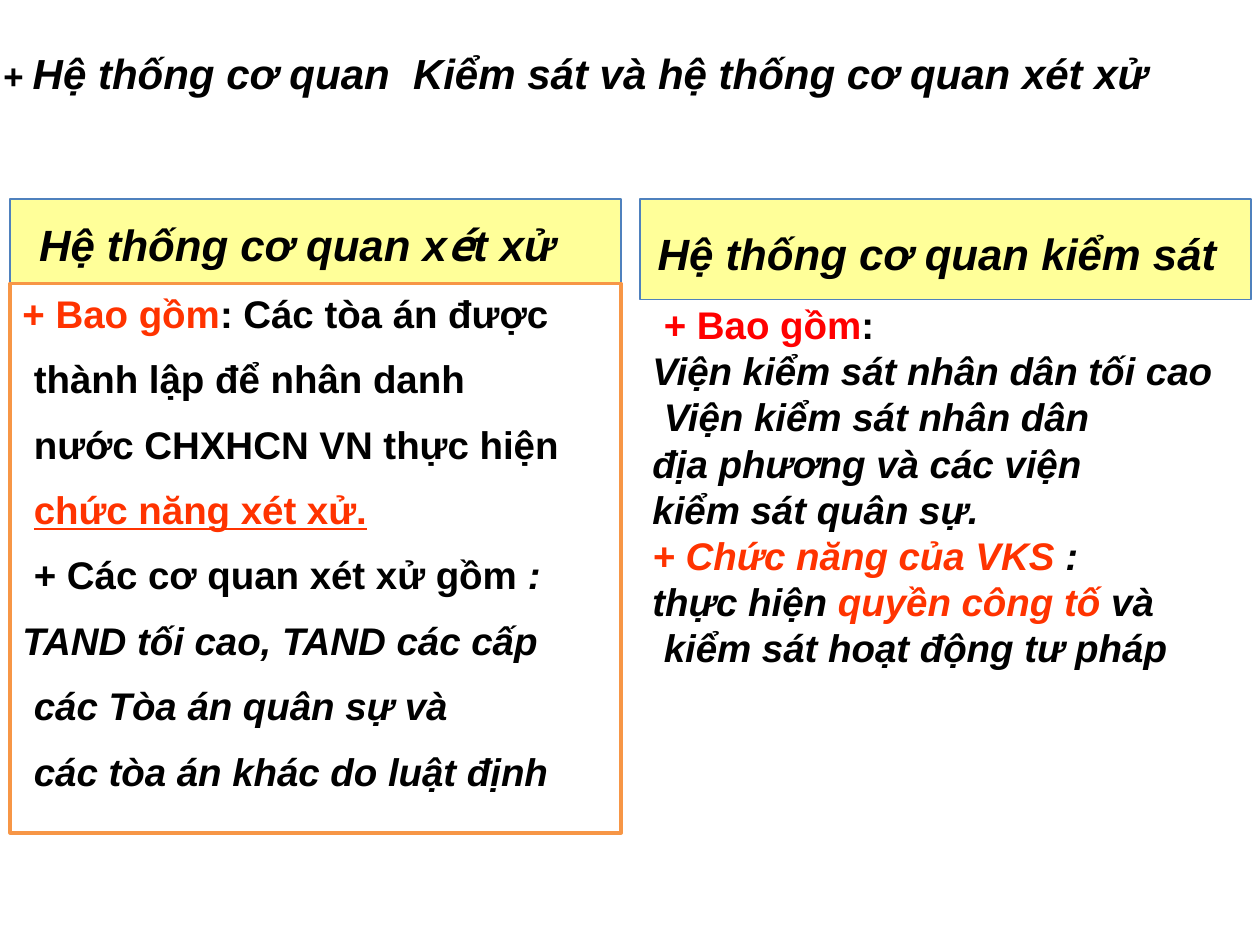
from pptx import Presentation
from pptx.dml.color import RGBColor
from pptx.enum.shapes import MSO_SHAPE
from pptx.enum.text import MSO_ANCHOR, MSO_AUTO_SIZE, PP_ALIGN
from pptx.util import Inches, Pt

BLACK = RGBColor(0x00, 0x00, 0x00)
WHITE = RGBColor(0xFF, 0xFF, 0xFF)
RED = RGBColor(0xFF, 0x00, 0x00)
VERMILION = RGBColor(0xFF, 0x33, 0x00)
YELLOW = RGBColor(0xFF, 0xFF, 0x99)
BLUE = RGBColor(0x4F, 0x81, 0xBD)
ORANGE = RGBColor(0xF7, 0x96, 0x46)

FONT, MONO = "Arial", "Noto Sans Mono"
BODY_SIZE, HEAD_SIZE = 22, 25
STEP = 0.09  # indent of a shifted line, inches

# A line is (indent steps, runs); a run is (text, format changes).
IT = {"italic": True}
HOT = {"color": VERMILION}
HOT_IT = {**HOT, **IT}

TITLE = [(0, [("+ ", {**IT, "size": 20}),
              ("Hệ thống cơ quan  Kiểm sát và hệ thống cơ quan xét xử", {**IT, "size": 24})])]

COURT_HEAD = [(2, [("Hệ thống cơ quan x", IT), ("é", {**IT, "font": MONO}), ("t xử", IT)])]
COURT_BODY = [
    (0, [("+ Bao gồm", HOT), (": Các tòa án được", {})]),
    (1, [("thành lập để nhân danh", {})]),
    (1, [("nước CHXHCN VN thực hiện", {})]),
    (1, [("chức năng xét xử.", {**HOT, "underline": True})]),
    (1, [("+ Các cơ quan xét xử gồm ", {}), (":", IT)]),
    (0, [("TAND tối cao, TAND các cấp", IT)]),
    (1, [("các Tòa án quân sự và", IT)]),
    (1, [("các tòa án khác do luật định", IT)]),
]

PROCURACY_HEAD = [(1, [("Hệ thống cơ quan kiểm sát", IT)])]
PROCURACY_BODY = [
    (1, [("+ Bao gồm", {"color": RED}), (":", {})]),
    (0, [("Viện kiểm sát nhân dân tối cao", IT)]),
    (1, [("Viện kiểm sát nhân dân", IT)]),
    (0, [("địa phương và các viện", IT)]),
    (0, [("kiểm sát quân sự.", IT)]),
    (0, [("+ Chức năng của VKS", HOT_IT), (" :", IT)]),
    (0, [("thực hiện ", IT), ("quyền công tố", HOT_IT), (" và", IT)]),
    (1, [("kiểm sát hoạt động tư pháp", IT)]),
]

LEFT, COLUMN_W, PITCH = 0.08, 4.85, 5.0
HEAD_TOP = 1.58


def place(sp, left, top, width, height):
    sp.left, sp.top = Inches(left), Inches(top)
    sp.width, sp.height = Inches(width), Inches(height)


def write(tf, lines, size, gap=0, anchor=MSO_ANCHOR.TOP):
    tf.word_wrap = True
    tf.auto_size = MSO_AUTO_SIZE.NONE
    tf.vertical_anchor = anchor
    for i, (steps, runs) in enumerate(lines):
        p = tf.paragraphs[0] if i == 0 else tf.add_paragraph()
        p.alignment = PP_ALIGN.LEFT
        p.space_before = Pt(gap if i else 0)
        pPr = p._p.get_or_add_pPr()
        pPr.set("marL", str(Inches(steps * STEP)))
        pPr.set("indent", "0")
        for text, fmt in runs:
            r = p.add_run()
            r.text = text
            r.font.name = fmt.get("font", FONT)
            r.font.size = Pt(fmt.get("size", size))
            r.font.bold = True
            r.font.italic = fmt.get("italic", False)
            r.font.underline = fmt.get("underline", False)
            r.font.color.rgb = fmt.get("color", BLACK)


def add_box(slide, left, top, height, fill, line, weight):
    sp = slide.shapes.add_shape(MSO_SHAPE.RECTANGLE, Inches(left), Inches(top),
                                Inches(COLUMN_W), Inches(height))
    sp.shadow.inherit = False
    sp.fill.solid()
    sp.fill.fore_color.rgb = fill
    sp.line.color.rgb = line
    sp.line.width = Pt(weight)
    return sp


def add_heading(slide, column, height, lines):
    sp = add_box(slide, LEFT + column * PITCH, HEAD_TOP, height, YELLOW, BLUE, 0.75)
    tf = sp.text_frame
    tf.margin_left = tf.margin_right = Inches(0.05)
    tf.margin_top, tf.margin_bottom = Inches(0.05), 0
    write(tf, lines, HEAD_SIZE, anchor=MSO_ANCHOR.MIDDLE)


def main():
    prs = Presentation()
    prs.slide_width, prs.slide_height = Inches(10), Inches(7.5)
    slide = prs.slides.add_slide(prs.slide_layouts[5])

    title = slide.shapes.title
    place(title, -LEFT, 0.33, 10 + LEFT, 0.5)
    write(title.text_frame, TITLE, 24)

    add_heading(slide, 1, 0.8, PROCURACY_HEAD)
    add_heading(slide, 0, 0.67, COURT_HEAD)

    court = add_box(slide, LEFT, HEAD_TOP + 0.67, 4.36, WHITE, ORANGE, 2)
    write(court.text_frame, COURT_BODY, BODY_SIZE, gap=BODY_SIZE / 2)

    procuracy = slide.shapes.add_textbox(0, 0, 0, 0)
    place(procuracy, LEFT + PITCH, 2.34, COLUMN_W, 3.06)
    write(procuracy.text_frame, PROCURACY_BODY, BODY_SIZE)

    prs.save("out.pptx")


if __name__ == "__main__":
    main()
